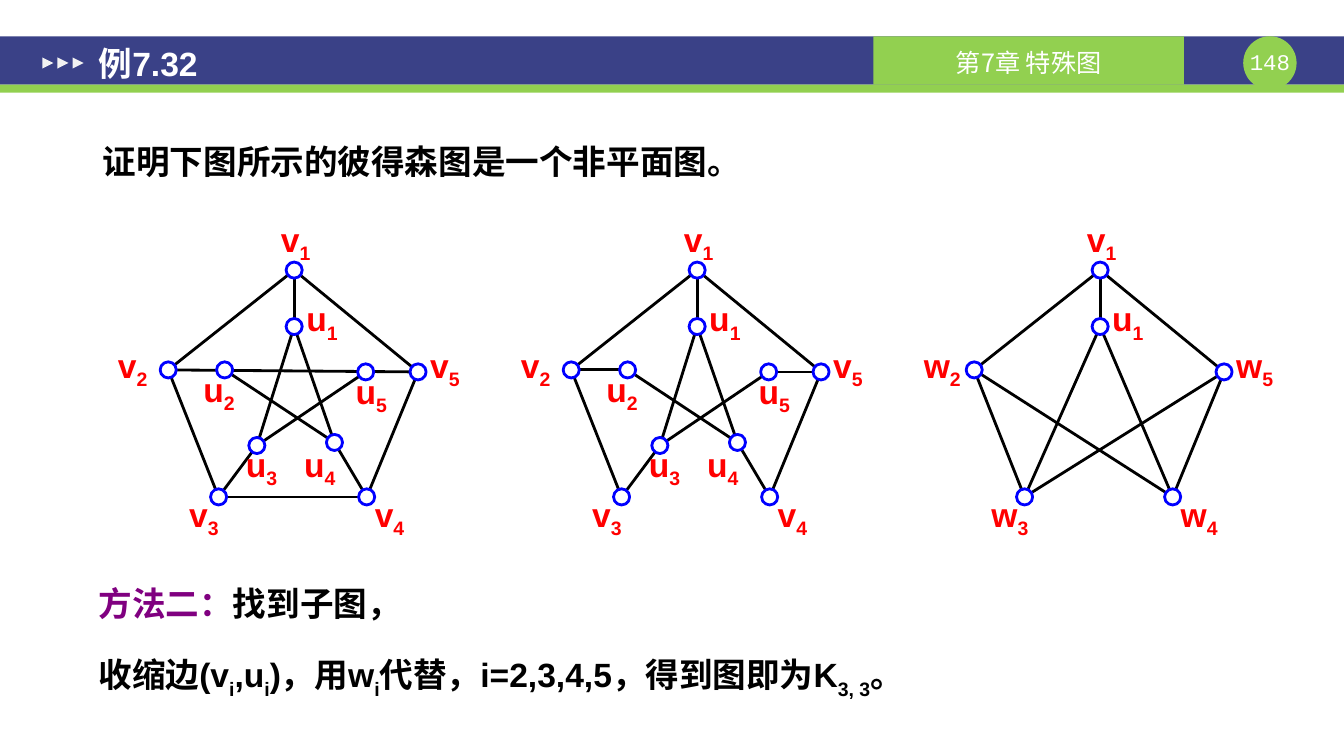
from lxml import etree
from pptx import Presentation
from pptx import util as u
from pptx.dml.color import RGBColor
from pptx.enum import shapes, text
from pptx.oxml import ns

COLUMNS, ROWS = 133.4, 75
COLORS = {
    "navy": "3A4187", "green": "92D050", "pale": "F2F2F2", "white": "FFFFFF",
    "black": "000000", "red": "FF0000", "blue": "0000FF", "purple": "800080",
}
CJK_FONT = "Noto Sans CJK SC"
NODE_SIZE = 1.6
GRAPH_PITCH = 40

NODES = {
    "v1": (29.2, 26.8), "v2": (16.7, 36.7), "v3": (21.7, 49.3),
    "v4": (36.4, 49.3), "v5": (41.5, 36.9),
    "u1": (29.2, 32.4), "u2": (22.3, 36.7), "u3": (25.5, 44.2),
    "u4": (33.2, 43.9), "u5": (36.3, 36.9),
}
LABELS = {
    "v1": (27, 21.7), "v2": (11.7, 34.2), "v3": (17.9, 49),
    "v4": (37.2, 49), "v5": (42.7, 34.2),
    "u1": (30.4, 29.6), "u2": (20.2, 36.6), "u3": (24.4, 44),
    "u4": (30.2, 44), "u5": (35.3, 36.8),
}
CENTERED_LABELS = ("v1", "v3")

SHARED_EDGES = "v1-v5 v1-v2 v2-v3 v4-v5 v1-u1"
STAR_EDGES = "u1-u3 u1-u4 u3-u5 u2-u4 u3-v3 u4-v4"
GRAPHS = [
    (list(NODES), f"{SHARED_EDGES} {STAR_EDGES} v3-v4 v2-v5"),
    (list(NODES), f"{SHARED_EDGES} {STAR_EDGES} v2-u2 u5-v5"),
    (["v1", "w2", "w3", "w4", "w5", "u1"],
     f"{SHARED_EDGES} u1-v3 u1-v4 v5-v3 v2-v4"),
]


class Board:
    def __init__(self):
        self.deck = Presentation()
        self.deck.slide_width = u.Inches(13.34)
        self.deck.slide_height = u.Inches(7.5)
        self.page = self.deck.slides.add_slide(self.deck.slide_layouts[6])
        self.canvas = self.page.shapes

    def x(self, columns):
        return round(self.deck.slide_width * columns / COLUMNS)

    def y(self, rows):
        return round(self.deck.slide_height * rows / ROWS)

    def area(self, left, top, width, height):
        return self.x(left), self.y(top), self.x(width), self.y(height)

    def start_group(self):
        self.canvas = self.page.shapes.add_group_shape().shapes

    def shape(self, kind, place, fill, outline=None):
        shape = self.canvas.add_shape(kind, *self.area(*place))
        shape.shadow.inherit = False
        shape.fill.solid()
        shape.fill.fore_color.rgb = RGBColor.from_string(COLORS[fill])
        if outline:
            shape.line.color.rgb = RGBColor.from_string(COLORS[outline])
            shape.line.width = u.Pt(2)
        else:
            shape.line.fill.background()
        return shape

    def line(self, start, end):
        line = self.canvas.add_connector(
            shapes.MSO_CONNECTOR.STRAIGHT,
            self.x(start[0]), self.y(start[1]), self.x(end[0]), self.y(end[1]))
        line.line.color.rgb = RGBColor.from_string(COLORS["black"])
        line.line.width = u.Pt(2)
        etree.SubElement(line._element.spPr, ns.qn("a:effectLst"))

    def text(self, place, paragraphs, size=24, font="Arial", bold=True,
             align="LEFT", anchor="TOP", insets=(0, 0), spacing=None, before=0):
        box = self.canvas.add_textbox(*self.area(*place))
        frame = box.text_frame
        frame.word_wrap = True
        frame.vertical_anchor = text.MSO_ANCHOR[anchor]
        frame.margin_left = frame.margin_right = self.x(insets[0])
        frame.margin_top = frame.margin_bottom = self.y(insets[1])
        for index, pieces in enumerate(paragraphs):
            para = frame.add_paragraph() if index else frame.paragraphs[0]
            para.alignment = text.PP_ALIGN[align]
            if spacing:
                para.line_spacing = spacing
            if index and before:
                para.space_before = u.Pt(before)
            for color, words in pieces:
                for part, content in enumerate(words.split("|")):
                    if content:
                        span = para.add_run()
                        span.text = content
                        self.style(span, color, size, font, bold, part % 2)

    def style(self, span, color, size, font, bold, lowered):
        span.font.size = u.Pt(size)
        span.font.bold = bold
        span.font.color.rgb = RGBColor.from_string(COLORS[color])
        span.font.name = font
        properties = span._r.get_or_add_rPr()
        etree.SubElement(properties, ns.qn("a:ea"), typeface=CJK_FONT)
        if lowered:
            properties.set("baseline", "-25000")

    def graph(self, names, edges, shift):
        self.start_group()
        spots = {key: (left + shift, top) for key, (left, top) in NODES.items()}
        for edge in edges.split():
            start, end = edge.split("-")
            self.line(spots[start], spots[end])
        for name in names:
            key = name.replace("w", "v")
            left, top = LABELS[key]
            self.text((left + shift, top, 4.7, 4),
                      [[("red", f"{name[0]}|{name[1]}")]],
                      align="CENTER" if key in CENTERED_LABELS else "LEFT")
        for name in names:
            left, top = spots[name.replace("w", "v")]
            self.shape(shapes.MSO_SHAPE.OVAL,
                       (left - NODE_SIZE / 2, top - NODE_SIZE / 2,
                        NODE_SIZE, NODE_SIZE), "white", "blue")


def main():
    board = Board()
    kinds = shapes.MSO_SHAPE

    board.shape(kinds.RECTANGLE, (0, 3.6, COLUMNS, 4.8), "navy")
    board.shape(kinds.RECTANGLE, (0, 8.4, COLUMNS, 0.8), "green")
    board.shape(kinds.OVAL, (123.4, 3.6, 5.3, 5.3), "green")
    board.text((123.4, 4.8, 5.3, 2.7), [[("white", "148")]], size=16,
               font="Courier New", bold=False, align="CENTER")
    board.shape(kinds.RECTANGLE, (86.7, 3.6, 30.8, 4.8), "green")
    board.text((86.7, 3.8, 30.8, 4.7), [[("white", "第7章 特殊图")]], size=18,
               font=CJK_FONT, bold=False, align="CENTER", anchor="MIDDLE")
    for index in range(3):
        arrow = board.shape(kinds.ISOSCELES_TRIANGLE,
                            (4.2 + 1.5 * index, 5.7, 1.1, 1.1), "pale")
        arrow.rotation = 90

    board.text((8.5, 3.9, 58.3, 4.7), [[("white", "例7.32")]],
               anchor="MIDDLE", insets=(1.3, 0.7))
    board.text((8.9, 12.5, 117.6, 8.9),
               [[("black", "证明下图所示的彼得森图是一个非平面图。")]],
               insets=(1.3, 0.7), spacing=1.2)
    board.text((8.8, 55.3, 120.8, 14), [
        [("purple", "方法二："), ("black", "找到子图，")],
        [("black", "收缩边(v|i|,u|i|)，用w|i|代替，i=2,3,4,5，得到图即为K|3, 3|。")],
    ], align="JUSTIFY", insets=(1, 0.5), spacing=1.5, before=6)

    for index, (names, edges) in enumerate(GRAPHS):
        board.graph(names, edges, index * GRAPH_PITCH)

    board.deck.save("out.pptx")


if __name__ == "__main__":
    main()
